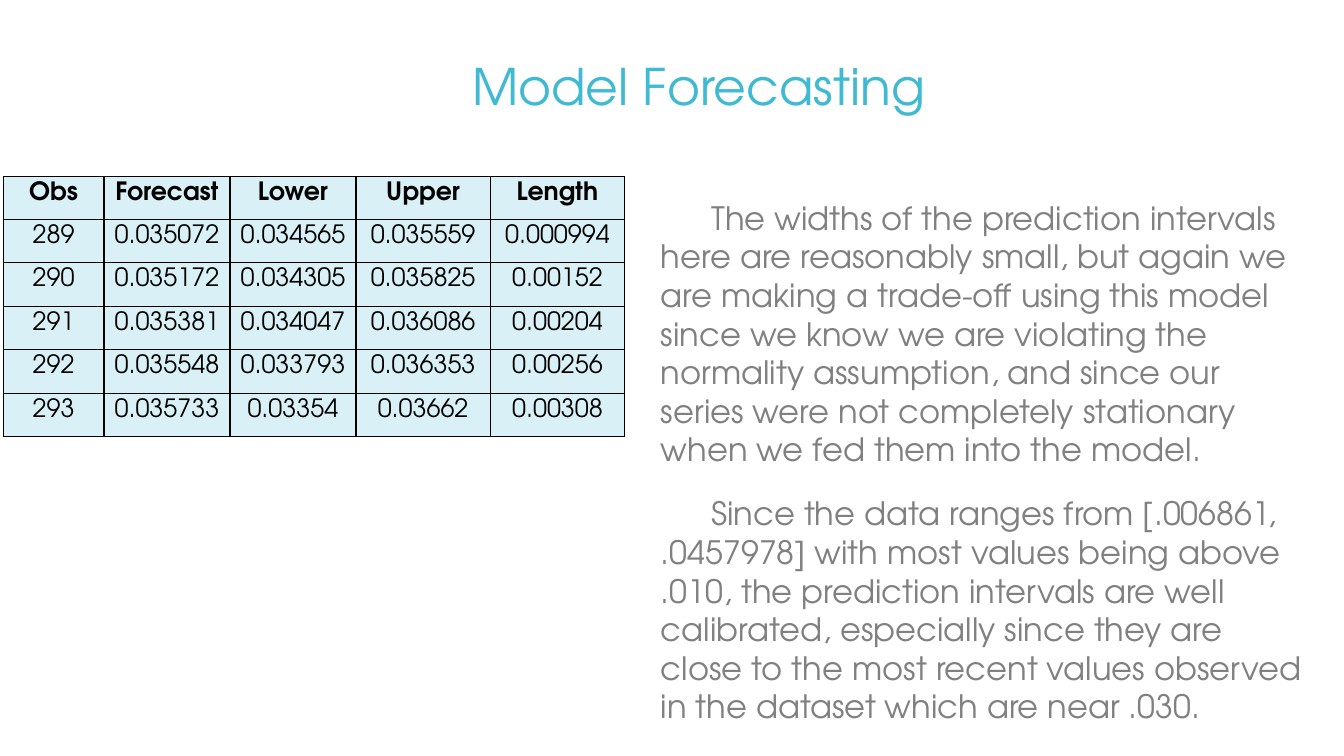
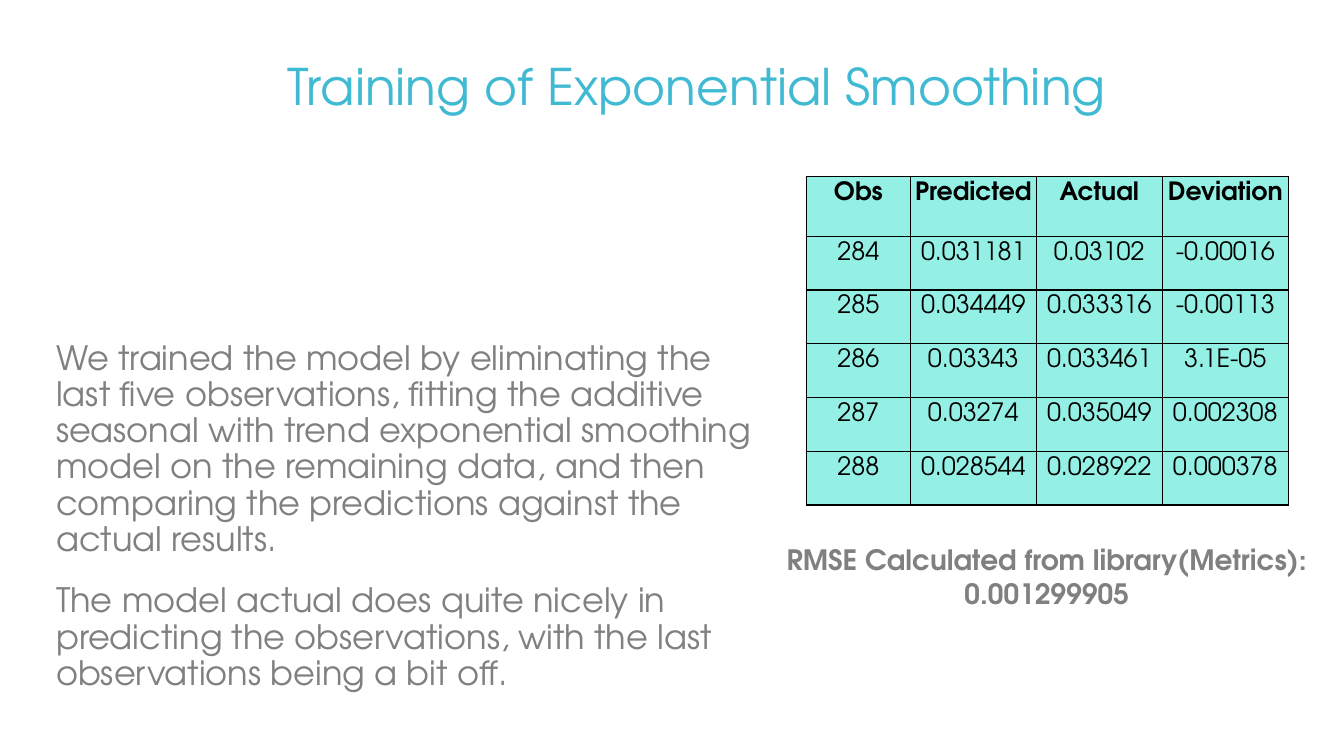
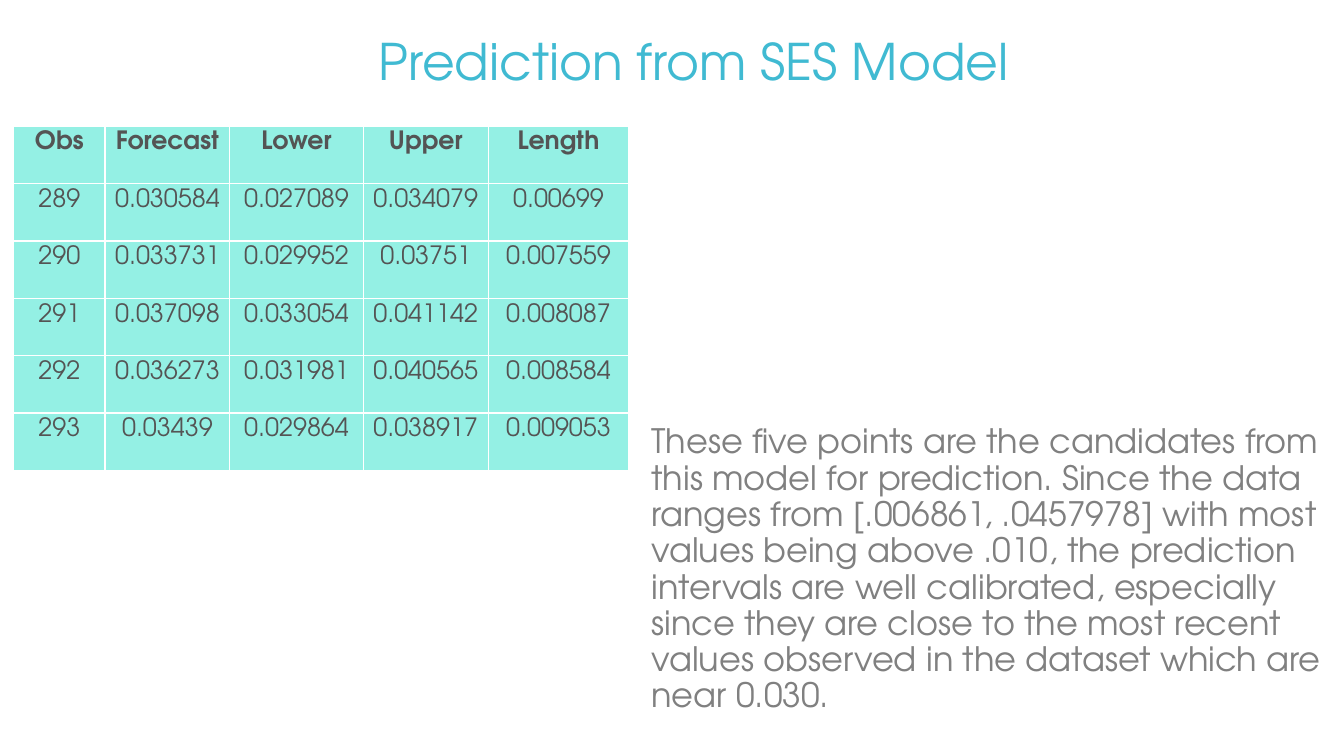
from lxml import etree
from pptx import Presentation
from pptx.dml.color import RGBColor
from pptx.enum.text import MSO_ANCHOR, MSO_AUTO_SIZE, PP_ALIGN
from pptx.oxml.ns import qn
from pptx.util import Pt

PX = 9525
SLIDE_SIZE = (1280, 720)
TITLE_ONLY = 5
FONT = "TeX Gyre Adventor"
LEFT, CENTER = PP_ALIGN.LEFT, PP_ALIGN.CENTER
TOP = MSO_ANCHOR.TOP
NO_AUTOFIT = MSO_AUTO_SIZE.NONE
COLORS = {
    "title": "40BAD2",
    "body": "808080",
    "black": "000000",
    "dark": "545454",
    "white": "FFFFFF",
    "pale": "D9F1F6",
    "mint": "94F0E4",
}
BORDER_WIDTH = Pt(1)
BORDER_TAGS = ("a:lnL", "a:lnR", "a:lnT", "a:lnB")
CELL_SIDE_MARGIN = 1
CELL_TOP_MARGIN = 5
BODY_MARGIN = 5
PARAGRAPH_GAP = 18

SLIDES = [
    {
        "title": ("Model Forecasting", (440, 48, 684, 85)),
        "body": {
            "box": (615, 184, 640, 536), "size": 23, "indent": 48, "line_spacing": 1.0,
            "paragraphs": [
                "The widths of the prediction intervals here are reasonably small, but again "
                "we are making a trade-off using this model since we know we are violating the "
                "normality assumption, and since our series were not completely stationary "
                "when we fed them into the model.",
                "Since the data ranges from [.006861, .0457978] with most values being above "
                ".010, the prediction intervals are well calibrated, especially since they are "
                "close to the most recent values observed in the dataset which are near .030.",
            ],
        },
        "table": {
            "origin": (3, 168), "columns": (96, 120, 120, 128, 128),
            "height": 248, "header": 41,
            "fill": "pale", "text": "black", "border": "black",
            "rows": [
                ("Obs", "Forecast", "Lower", "Upper", "Length"),
                ("289", "0.035072", "0.034565", "0.035559", "0.000994"),
                ("290", "0.035172", "0.034305", "0.035825", "0.00152"),
                ("291", "0.035381", "0.034047", "0.036086", "0.00204"),
                ("292", "0.035548", "0.033793", "0.036353", "0.00256"),
                ("293", "0.035733", "0.03354", "0.03662", "0.00308"),
            ],
        },
    },
    {
        "title": ("Training of Exponential Smoothing", (264, 48, 824, 120)),
        "body": {
            "box": (39, 320, 696, 448), "size": 24, "indent": 0, "line_spacing": 0.9,
            "paragraphs": [
                "We trained the model by eliminating the last five observations, fitting the "
                "additive seasonal with trend exponential smoothing model on the remaining "
                "data, and then comparing the predictions against the actual results.",
                "The model actual does quite nicely in predicting the observations, with the "
                "last observations being a bit off.",
            ],
        },
        "table": {
            "origin": (768, 168), "columns": (99, 120, 120, 120),
            "height": 313, "header": 57,
            "fill": "mint", "text": "black", "border": "black",
            "rows": [
                ("Obs", "Predicted", "Actual", "Deviation"),
                ("284", "0.031181", "0.03102", "-0.00016"),
                ("285", "0.034449", "0.033316", "-0.00113"),
                ("286", "0.03343", "0.033461", "3.1E-05"),
                ("287", "0.03274", "0.035049", "0.002308"),
                ("288", "0.028544", "0.028922", "0.000378"),
            ],
        },
        "caption": ("RMSE Calculated from library(Metrics): 0.001299905", (737, 512, 520, 74)),
    },
    {
        "title": ("Prediction from SES Model", (351, 24, 684, 85)),
        "body": {
            "box": (606, 400, 672, 304), "size": 24, "indent": 0, "line_spacing": 0.9,
            "paragraphs": [
                "These five points are the candidates from this model for prediction. Since "
                "the data ranges from [.006861, .0457978] with most values being above .010, "
                "the prediction intervals are well calibrated, especially since they are close "
                "to the most recent values observed in the dataset which are near 0.030.",
            ],
        },
        "table": {
            "origin": (13, 120), "columns": (87, 119, 127, 119, 134),
            "height": 328, "header": 55,
            "fill": "mint", "text": "dark", "border": "white",
            "rows": [
                ("Obs", "Forecast", "Lower", "Upper", "Length"),
                ("289", "0.030584", "0.027089", "0.034079", "0.00699"),
                ("290", "0.033731", "0.029952", "0.03751", "0.007559"),
                ("291", "0.037098", "0.033054", "0.041142", "0.008087"),
                ("292", "0.036273", "0.031981", "0.040565", "0.008584"),
                ("293", "0.03439", "0.029864", "0.038917", "0.009053"),
            ],
        },
    },
]


def emu(*lengths):
    return [round(length * PX) for length in lengths]


def write_paragraph(paragraph, text, size, color, bold=False, alignment=LEFT):
    paragraph.text = text
    paragraph.alignment = alignment
    font = paragraph.runs[0].font
    font.name, font.size, font.bold = FONT, Pt(size), bold
    font.color.rgb = RGBColor.from_string(COLORS[color])


def prepare_frame(text_frame):
    text_frame.word_wrap = True
    text_frame.auto_size = NO_AUTOFIT
    text_frame.vertical_anchor = TOP


def add_text_box(slide, box):
    text_frame = slide.shapes.add_textbox(*emu(*box)).text_frame
    prepare_frame(text_frame)
    return text_frame


def set_title(slide, text, box):
    title = slide.shapes.title
    title.left, title.top, title.width, title.height = emu(*box)
    prepare_frame(title.text_frame)
    write_paragraph(title.text_frame.paragraphs[0], text, 36, "title")


def add_body(slide, body):
    text_frame = add_text_box(slide, body["box"])
    margin, indent = emu(BODY_MARGIN, body["indent"])
    for index, text in enumerate(body["paragraphs"]):
        paragraph = text_frame.add_paragraph() if index else text_frame.paragraphs[0]
        write_paragraph(paragraph, text, body["size"], "body")
        paragraph.space_before = Pt(PARAGRAPH_GAP)
        paragraph.line_spacing = body["line_spacing"]
        properties = paragraph._p.get_or_add_pPr()
        properties.set("marL", str(margin))
        properties.set("indent", str(indent))


def add_borders(cell, color):
    properties = cell._tc.get_or_add_tcPr()
    for tag in BORDER_TAGS:
        line = etree.SubElement(properties, qn(tag), w=str(BORDER_WIDTH))
        fill = etree.SubElement(line, qn("a:solidFill"))
        etree.SubElement(fill, qn("a:srgbClr"), val=COLORS[color])


def add_data_table(slide, data):
    rows, columns = data["rows"], data["columns"]
    box = emu(*data["origin"], sum(columns), data["height"])
    table = slide.shapes.add_table(len(rows), len(columns), *box).table
    table.horz_banding = False
    for column, width in zip(table.columns, emu(*columns)):
        column.width = width
    row_height = (data["height"] - data["header"]) / (len(rows) - 1)
    side_margin, top_margin = emu(CELL_SIDE_MARGIN, CELL_TOP_MARGIN)
    for row_index, values in enumerate(rows):
        is_header = row_index == 0
        table.rows[row_index].height = emu(data["header"] if is_header else row_height)[0]
        for column_index, value in enumerate(values):
            cell = table.cell(row_index, column_index)
            cell.margin_left = cell.margin_right = side_margin
            cell.margin_top = cell.margin_bottom = top_margin
            cell.vertical_anchor = TOP
            write_paragraph(cell.text_frame.paragraphs[0], value, 18, data["text"],
                            is_header, CENTER)
            add_borders(cell, data["border"])
            cell.fill.solid()
            cell.fill.fore_color.rgb = RGBColor.from_string(COLORS[data["fill"]])


def add_caption(slide, text, box):
    paragraph = add_text_box(slide, box).paragraphs[0]
    write_paragraph(paragraph, text, 20, "body", True, CENTER)


def main():
    presentation = Presentation()
    presentation.slide_width, presentation.slide_height = emu(*SLIDE_SIZE)
    for content in SLIDES:
        slide = presentation.slides.add_slide(presentation.slide_layouts[TITLE_ONLY])
        set_title(slide, *content["title"])
        add_body(slide, content["body"])
        add_data_table(slide, content["table"])
        if "caption" in content:
            add_caption(slide, *content["caption"])
    presentation.save("out.pptx")


if __name__ == "__main__":
    main()
